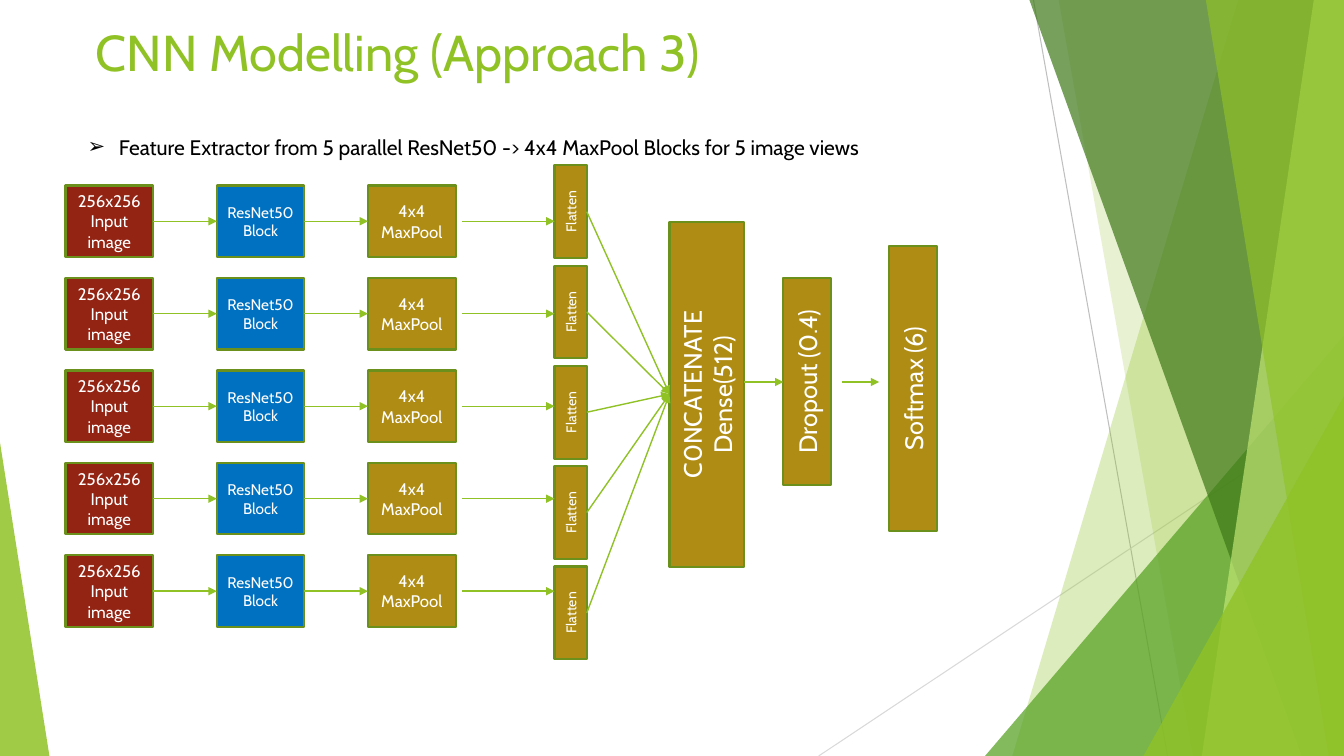
from dataclasses import dataclass

from lxml.etree import SubElement
from pptx import Presentation
from pptx.dml.color import RGBColor as Rgb
from pptx.enum.shapes import MSO_CONNECTOR as Link, MSO_SHAPE as Kind
from pptx.enum.text import MSO_ANCHOR as Anchor, MSO_AUTO_SIZE as Fit, PP_ALIGN as Align
from pptx.oxml.ns import qn
from pptx.util import Inches, Pt

CELL = Inches(0.1)  # one column or row of the slide grid
VIEWS = 5


@dataclass(frozen=True)
class Theme:
    font: str = "Cabin"
    green: str = "90C226"
    leaf: str = "54A021"
    dark: str = "3F7819"
    lime: str = "C0E474"
    edge: str = "6B901C"
    red: str = "932313"
    blue: str = "0070C0"
    gold: str = "AF8C14"
    black: str = "000000"
    white: str = "FFFFFF"
    grey: str = "BFBFBF"
    pale: str = "D9D9D9"
    title: int = 36
    list: int = 15
    large: int = 18
    block: int = 12
    small: int = 11
    tiny: int = 10


@dataclass(frozen=True)
class Box:
    """A region of the slide, in grid columns and rows."""
    left: float
    top: float
    width: float
    height: float

    def spot(self, col, row):
        return round((self.left + col) * CELL), round((self.top + row) * CELL)

    def frame(self, col, row, width, height):
        return *self.spot(col, row), round(width * CELL), round(height * CELL)


THEME = Theme()


def spread(first, last):
    """Even rows from first to last, one for each image view."""
    return [first + (last - first) * i / (VIEWS - 1) for i in range(VIEWS)]


def style(par, size, color, align):
    par.alignment = align
    par.font.name = THEME.font
    par.font.size = Pt(size)
    par.font.color.rgb = Rgb.from_string(color)


def paint(shape, color, alpha=None):
    shape.shadow.inherit = False
    shape.fill.solid()
    shape.fill.fore_color.rgb = Rgb.from_string(color)
    if alpha:
        shape.line.fill.background()
        tint = shape.element.spPr.find(qn("a:solidFill"))[0]
        SubElement(tint, qn("a:alpha"), val=str(alpha * 1000))


def draw_line(slide, start, end, color, width):
    line = slide.shapes.add_connector(Link.STRAIGHT, *start, *end)
    line.line.color.rgb = Rgb.from_string(color)
    line.line.width = Pt(width)
    SubElement(line.element.spPr, qn("a:effectLst"))
    return line


def draw_arrow(slide, start, end):
    line = draw_line(slide, start, end, THEME.green, 1)
    SubElement(line.element.spPr.find(qn("a:ln")), qn("a:tailEnd"), type="triangle")


def draw_block(slide, frame, text, color, size):
    shape = slide.shapes.add_shape(Kind.RECTANGLE, *frame)
    paint(shape, color)
    shape.line.color.rgb = Rgb.from_string(THEME.edge)
    shape.line.width = Pt(1.5)
    shape.text_frame.text = text
    shape.text_frame.vertical_anchor = Anchor.MIDDLE
    for par in shape.text_frame.paragraphs:
        style(par, size, THEME.white, Align.CENTER)
    return shape


def draw_tower(slide, box, center, length, width, text, size):
    """A block turned to read upwards, placed by its centre."""
    col, row = center
    frame = box.frame(col - length / 2, row - width / 2, length, width)
    draw_block(slide, frame, text, THEME.gold, size).rotation = 270


def draw_decor(slide, box):
    wide, high = box.width, box.height

    def band(top, low, color, alpha):
        """A band from the right edge to a slanted left side."""
        pen = slide.shapes.build_freeform(*box.spot(top, 0), scale=1.0)
        ends = [(wide, 0), (wide, high), (low, high)]
        pen.add_line_segments([box.spot(*end) for end in ends])
        paint(pen.convert_to_shape(), color, alpha)

    def wedge(left, top, right, peak, color, alpha):
        frame = box.frame(left, top, right - left, high - top)
        shape = slide.shapes.add_shape(Kind.ISOSCELES_TRIANGLE, *frame)
        shape.adjustments[0] = peak
        paint(shape, color, alpha)

    draw_line(slide, box.spot(102.5, 0), box.spot(115.8, high), THEME.grey, 0.75)
    draw_line(slide, box.spot(wide, 40.3), box.spot(81.2, high), THEME.pale, 0.75)
    band(122.8, 100.4, THEME.green, 30)
    band(105, 118.3, THEME.green, 20)
    wedge(97.7, 33.3, wide, 1, THEME.leaf, 72)
    band(102.1, 129.1, THEME.dark, 70)
    band(130.3, 119.2, THEME.lime, 70)
    band(119.6, 131.8, THEME.green, 65)
    wedge(113.4, 39.3, wide, 1, THEME.green, 80)
    wedge(0, 43.9, 4.9, 0, THEME.green, 85)


def fill_holder(shape, box, text, size, color):
    shape.left, shape.top, shape.width, shape.height = box.frame(0, 0, box.width, box.height)
    frame = shape.text_frame
    frame.text = text
    frame.word_wrap = True
    frame.auto_size = Fit.NONE
    frame.vertical_anchor = Anchor.TOP
    par = frame.paragraphs[0]
    par.space_before = Pt(0)
    style(par, size, color, Align.LEFT)
    return par


def add_list(shape, box, text):
    par = fill_holder(shape, box, text, THEME.list, THEME.black)
    props = par._p.get_or_add_pPr()
    props.set("marL", str(Inches(0.31)))
    props.set("indent", str(-Inches(0.31)))
    SubElement(props, qn("a:buChar"), char="➢")


def draw_views(slide, box):
    """Parallel branches, one row for each image view."""
    wide, high, step = 8.7, 7.1, 15
    stages = [("256x256\nInput image", THEME.red, THEME.block),
              ("ResNet50 Block", THEME.blue, THEME.small),
              ("4x4 MaxPool", THEME.gold, THEME.block)]
    for row, mid in zip(spread(2, 38.7), spread(4.6, 44.4)):
        axis = row + high / 2
        for i, (text, color, size) in enumerate(stages):
            draw_block(slide, box.frame(i * step, row, wide, high), text, color, size)
        draw_tower(slide, box, (50.1, mid), 9.2, 3.2, "Flatten", THEME.tiny)
        for start, end in [(wide, step), (step + wide, 2 * step), (39.3, 48.5)]:
            draw_arrow(slide, box.spot(start, axis), box.spot(end, axis))


def draw_merge(slide, box):
    """The branches join and run on to the output."""
    towers = [((11.9, 22.75), 34.2, 7.4, "C0NCATENATE\nDense(512)"),
              ((21.85, 21.45), 20.5, 4.7, "Dropout (0.4)"),
              ((32.35, 22.15), 28.3, 4.7, "Softmax (6)")]
    for center, length, width, text in towers:
        draw_tower(slide, box, center, length, width, text, THEME.large)
    for row in spread(4.6, 44.4):
        draw_arrow(slide, box.spot(0, row), box.spot(8.2, 22.7))
    for start, end in [(15.6, 19.5), (25.3, 29)]:
        draw_arrow(slide, box.spot(start, 21.5), box.spot(end, 21.5))


def main():
    deck = Presentation()
    deck.slide_width, deck.slide_height = Inches(13.33), Inches(7.5)
    slide = deck.slides.add_slide(deck.slide_layouts[1])
    title, body = slide.placeholders
    draw_decor(slide, Box(0, 0, 133.3, 75))
    fill_holder(title, Box(8.5, 1.6, 92.9, 11.3), "CNN Modelling (Approach 3)",
                THEME.title, THEME.green)
    add_list(body, Box(7.7, 12.8, 87.9, 3.5),
             "Feature Extractor from 5 parallel ResNet50 -> 4x4 MaxPool Blocks for 5 image views")
    draw_views(slide, Box(6.5, 16.4, 51.7, 49))
    draw_merge(slide, Box(58.2, 16.4, 34.7, 49))
    deck.save("out.pptx")


if __name__ == "__main__":
    main()
